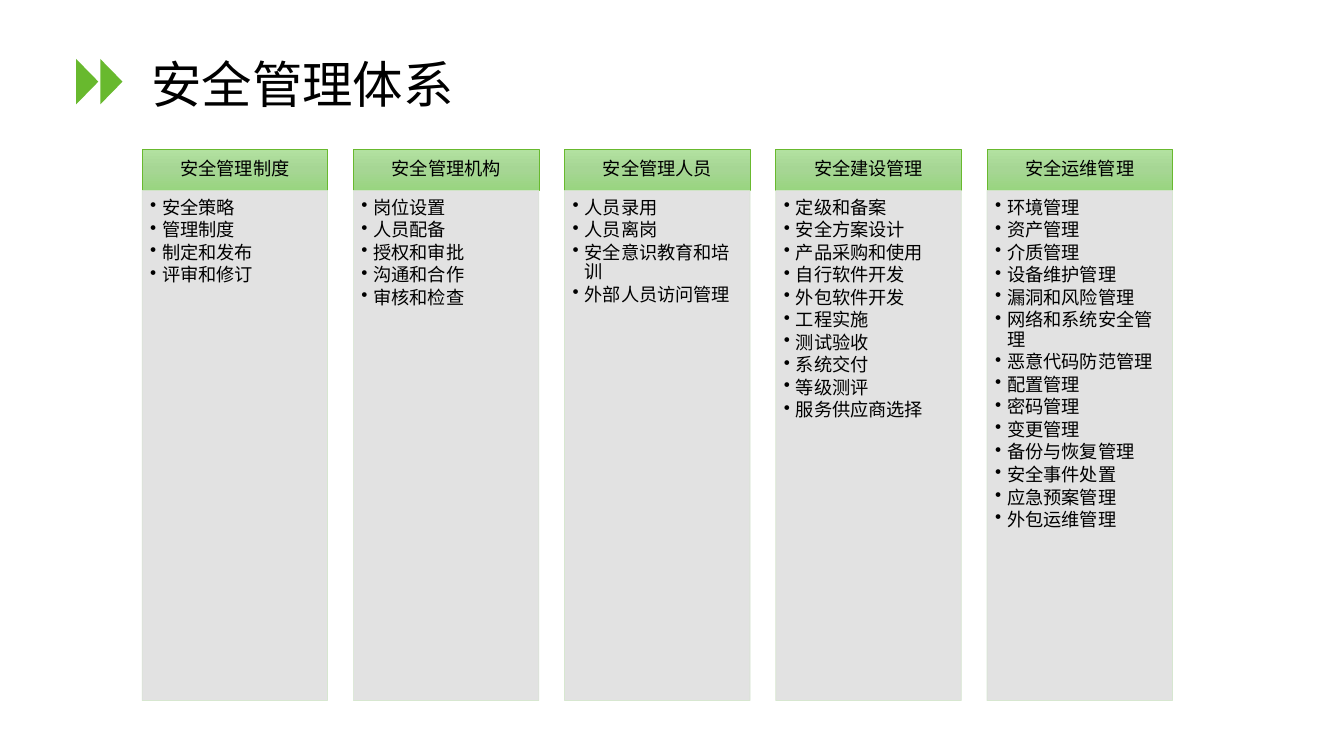
"""Build a slide listing the five parts of a security management system."""
import copy

import pptx
import pptx.dml.color
import pptx.enum.shapes
import pptx.enum.text
import pptx.oxml
import pptx.oxml.ns
import pptx.util
from pptx.util import Inches

BLACK = pptx.dml.color.RGBColor(0x00, 0x00, 0x00)
GREEN = pptx.dml.color.RGBColor(0x68, 0xB9, 0x2E)
HEADER_GRADIENT = [
    pptx.dml.color.RGBColor(0xB2, 0xE1, 0xA0),
    pptx.dml.color.RGBColor(0xA6, 0xD6, 0x94),
    pptx.dml.color.RGBColor(0x98, 0xD5, 0x7F),
]
BODY_FILL = pptx.dml.color.RGBColor(0xDF, 0xDF, 0xDF)
BODY_LINE = pptx.dml.color.RGBColor(0xD4, 0xE6, 0xCD)

COLUMN_LEFT, COLUMN_PITCH, COLUMN_WIDTH = 1.41, 2.095, 1.84
HEADER_TOP, HEADER_HEIGHT, BODY_HEIGHT = 1.48, 0.41, 5.06

COLUMNS = {
    "安全管理制度": ["安全策略", "管理制度", "制定和发布", "评审和修订"],
    "安全管理机构": ["岗位设置", "人员配备", "授权和审批", "沟通和合作", "审核和检查"],
    "安全管理人员": ["人员录用", "人员离岗", "安全意识教育和培训", "外部人员访问管理"],
    "安全建设管理": [
        "定级和备案", "安全方案设计", "产品采购和使用", "自行软件开发", "外包软件开发",
        "工程实施", "测试验收", "系统交付", "等级测评", "服务供应商选择",
    ],
    "安全运维管理": [
        "环境管理", "资产管理", "介质管理", "设备维护管理", "漏洞和风险管理",
        "网络和系统安全管理", "恶意代码防范管理", "配置管理", "密码管理", "变更管理",
        "备份与恢复管理", "安全事件处置", "应急预案管理", "外包运维管理",
    ],
}


def add_run(paragraph, text, size, font_name):
    paragraph.line_spacing = 0.9
    run = paragraph.add_run()
    run.text = text
    run.font.size = pptx.util.Pt(size)
    run.font.name = font_name
    run.font.color.rgb = BLACK


def add_bullet(paragraph):
    paragraph.level = 1
    properties = paragraph._p.get_or_add_pPr()
    properties.set("marL", str(Inches(0.12)))
    properties.set("indent", str(Inches(-0.12)))
    bullet = pptx.oxml.parse_xml(
        f'<a:buChar {pptx.oxml.ns.nsdecls("a")} char="•"/>')
    properties.append(bullet)


def set_opacity(fill_format, percent):
    color = fill_format._xPr.find(".//" + pptx.oxml.ns.qn("a:srgbClr"))
    alpha = pptx.oxml.parse_xml(
        f'<a:alpha {pptx.oxml.ns.nsdecls("a")} val="{percent * 1000}"/>')
    color.append(alpha)


def fill_header(fill):
    fill.gradient()
    fill.gradient_angle = 270
    first_stop = fill._xPr.find(".//" + pptx.oxml.ns.qn("a:gs"))
    first_stop.addnext(copy.deepcopy(first_stop))
    for index, (stop, color) in enumerate(zip(fill.gradient_stops, HEADER_GRADIENT)):
        stop.position = index / 2
        stop.color.rgb = color


def add_box(slide, left, top, height, line_color, insets, anchor):
    shape = slide.shapes.add_shape(
        pptx.enum.shapes.MSO_SHAPE.RECTANGLE,
        Inches(left), Inches(top), Inches(COLUMN_WIDTH), Inches(height))
    shape.shadow.inherit = False
    shape.line.color.rgb = line_color
    shape.line.width = pptx.util.Pt(0.5)
    frame = shape.text_frame
    frame.word_wrap = True
    frame.vertical_anchor = anchor
    frame.margin_left, frame.margin_top, frame.margin_right, frame.margin_bottom = map(
        Inches, insets)
    return shape


def add_header(slide, left, text):
    shape = add_box(slide, left, HEADER_TOP, HEADER_HEIGHT, GREEN,
                    (0.1, 0.06, 0.1, 0.06), pptx.enum.text.MSO_ANCHOR.MIDDLE)
    fill_header(shape.fill)
    paragraph = shape.text_frame.paragraphs[0]
    paragraph.alignment = pptx.enum.text.PP_ALIGN.CENTER
    add_run(paragraph, text, 13, "Arial")


def add_body(slide, left, items):
    shape = add_box(slide, left, HEADER_TOP + HEADER_HEIGHT, BODY_HEIGHT, BODY_LINE,
                    (0.08, 0.08, 0.1, 0.11), pptx.enum.text.MSO_ANCHOR.TOP)
    shape.fill.solid()
    shape.fill.fore_color.rgb = BODY_FILL
    set_opacity(shape.fill, 90)
    set_opacity(shape.line.fill, 90)
    frame = shape.text_frame
    for index, item in enumerate(items):
        paragraph = frame.add_paragraph() if index else frame.paragraphs[0]
        paragraph.alignment = pptx.enum.text.PP_ALIGN.LEFT
        paragraph.space_after = pptx.util.Pt(2)
        add_bullet(paragraph)
        add_run(paragraph, item, 13, "Arial")


def add_title_arrow(slide, left):
    shape = slide.shapes.add_shape(
        pptx.enum.shapes.MSO_SHAPE.ISOSCELES_TRIANGLE,
        Inches(left), Inches(0.7), Inches(0.45), Inches(0.22))
    shape.rotation = 90
    shape.shadow.inherit = False
    shape.fill.solid()
    shape.fill.fore_color.rgb = GREEN
    shape.line.fill.background()


def set_title(slide, text):
    title = slide.shapes.title
    title.left, title.top = Inches(1.4), Inches(0.4)
    title.width, title.height = Inches(11.01), Inches(0.93)
    frame = title.text_frame
    frame.auto_size = pptx.enum.text.MSO_AUTO_SIZE.NONE
    frame.vertical_anchor = pptx.enum.text.MSO_ANCHOR.MIDDLE
    paragraph = frame.paragraphs[0]
    paragraph.alignment = pptx.enum.text.PP_ALIGN.LEFT
    add_run(paragraph, text, 36, "Montserrat")


def main():
    presentation = pptx.Presentation()
    presentation.slide_width = Inches(13.33)
    presentation.slide_height = Inches(7.5)
    slide = presentation.slides.add_slide(presentation.slide_layouts[5])
    set_title(slide, "安全管理体系")
    for left in (0.88, 0.64):
        add_title_arrow(slide, left)
    for index, (heading, items) in enumerate(COLUMNS.items()):
        left = COLUMN_LEFT + index * COLUMN_PITCH
        add_header(slide, left, heading)
        add_body(slide, left, items)
    presentation.save("out.pptx")


if __name__ == "__main__":
    main()
